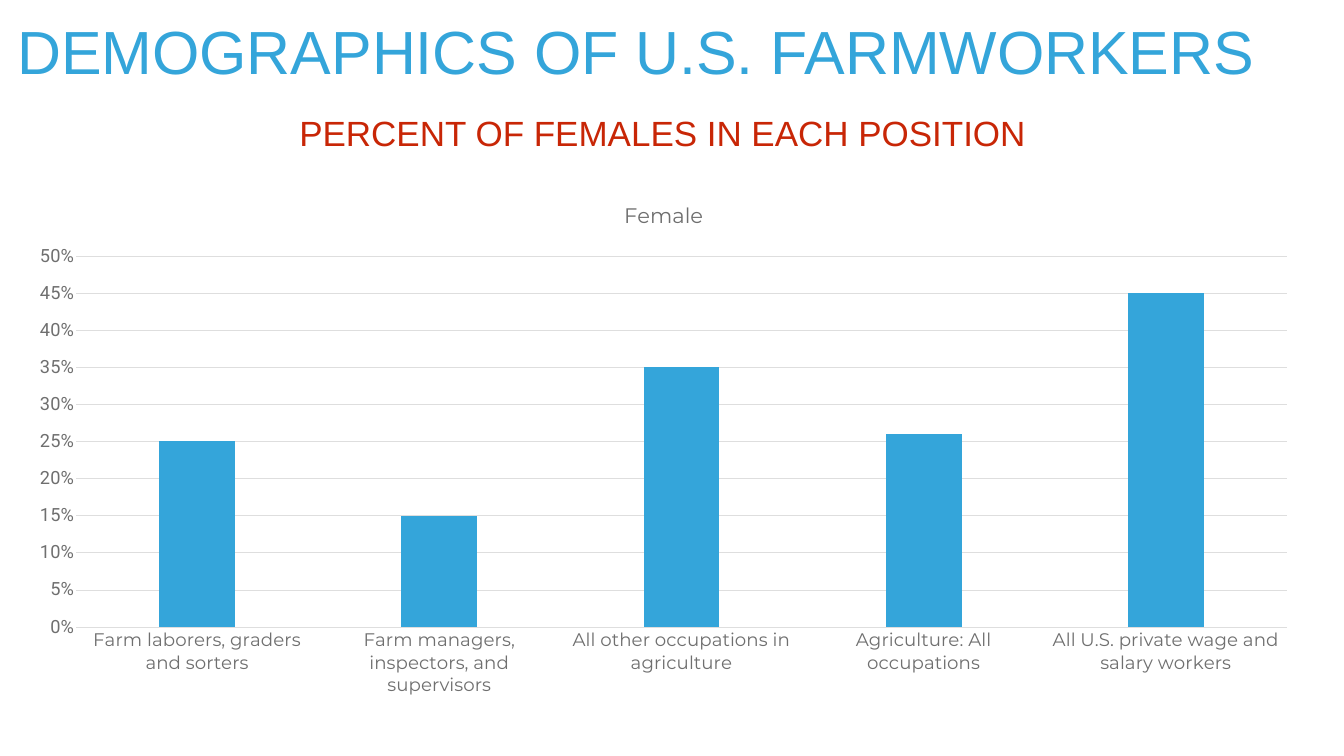
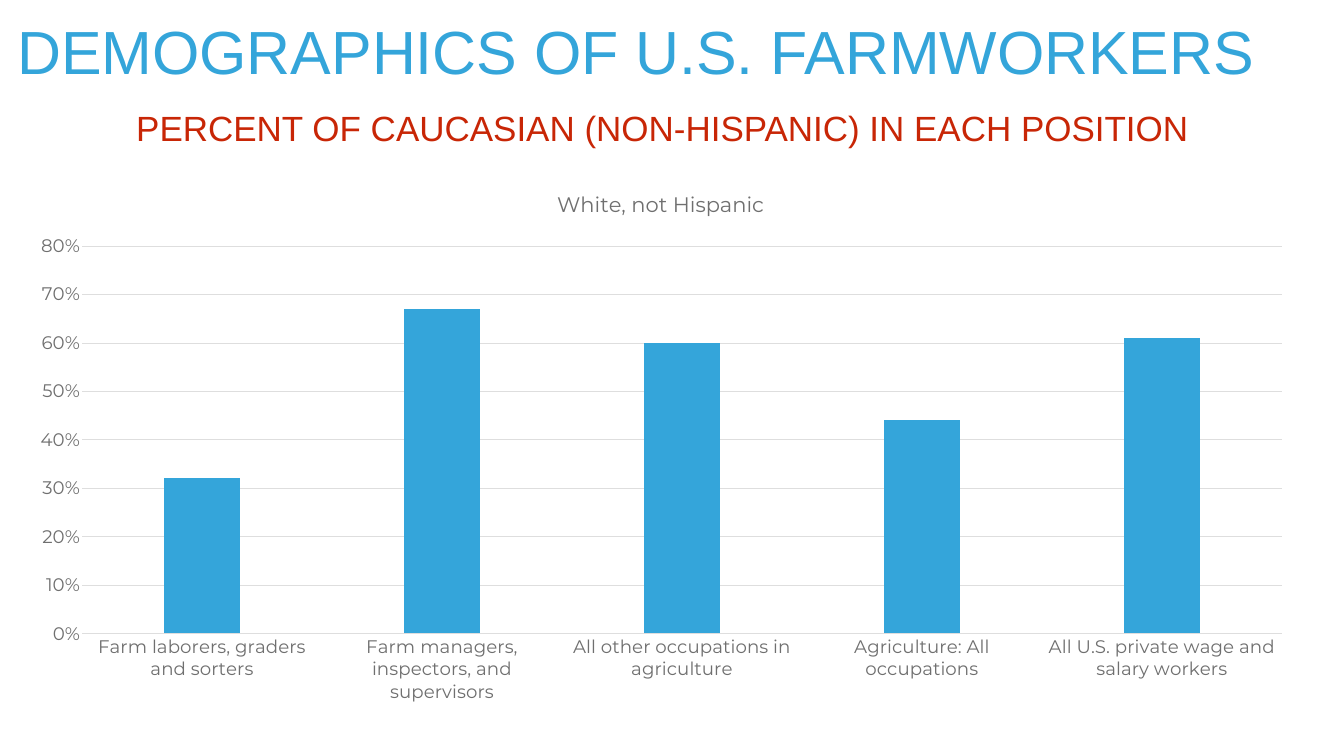
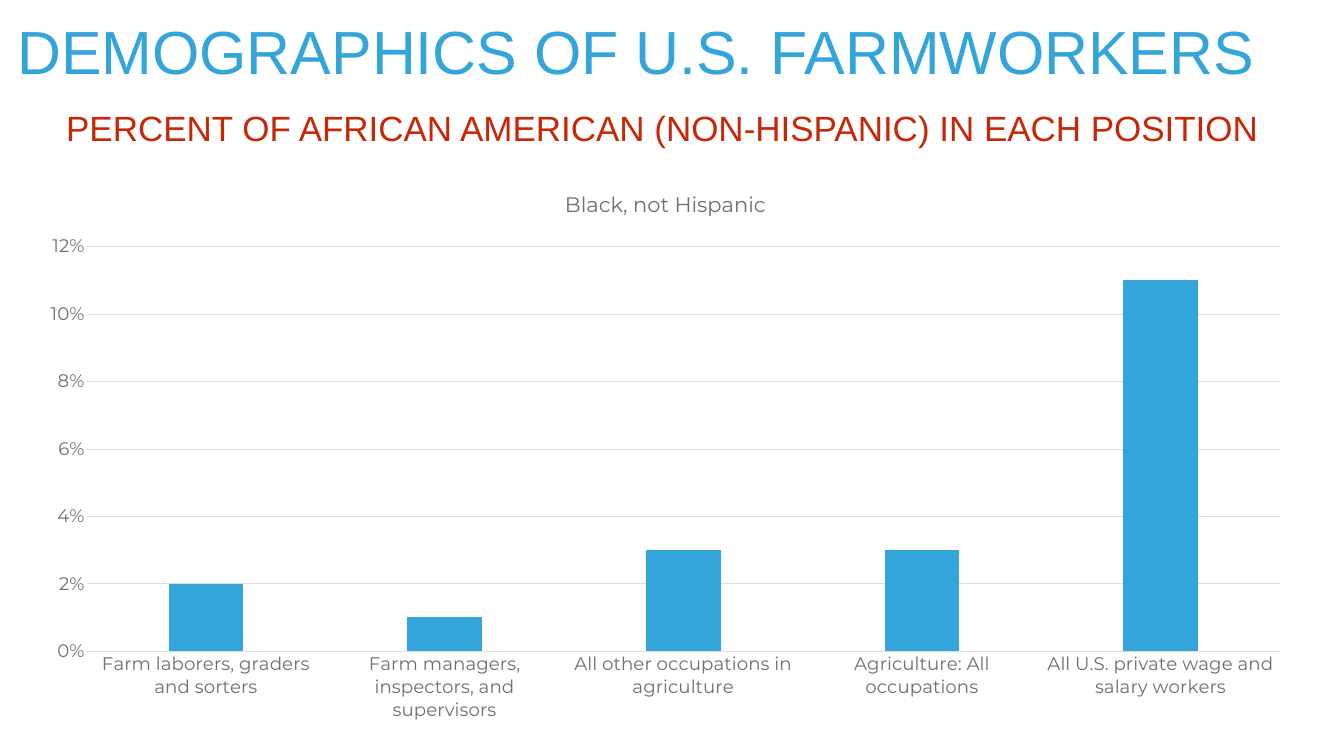
import pptx
import pptx.chart.data
import pptx.dml.color
import pptx.enum.chart
import pptx.enum.text
import pptx.util
from lxml import etree

Inches = pptx.util.Inches
Pt = pptx.util.Pt

SLIDE_WIDTH, SLIDE_HEIGHT = 26.67, 15
COLORS = {"blue": "34A5DA", "red": "C82606", "gray": "6F6F6F", "line": "DEDEDE"}
TEXT_FONT, CHART_FONT = "Arial", "Montserrat"

TITLE = "DEMOGRAPHICS OF U.S. FARMWORKERS"
POSITIONS = [
    "Farm laborers, graders and sorters",
    "Farm managers, inspectors, and supervisors",
    "All other occupations in agriculture",
    "Agriculture: All occupations",
    "All U.S. private wage and salary workers",
]

# Boxes are left, top, width, height in inches; "plot" is measured on the slide.
SLIDES = [
    {
        "subtitle": "PERCENT OF FEMALES IN EACH POSITION", "subtitle_top": 2.32,
        "group": "Female", "shares": [0.25, 0.15, 0.35, 0.26, 0.45],
        "maximum": 0.5, "step": 0.05, "value_font": "Roboto",
        "chart": (0.28, 3.64, 25.78, 10.39), "plot": (1.51, 5.08, 24.03, 7.36),
    },
    {
        "subtitle": "PERCENT OF CAUCASIAN (NON-HISPANIC) IN EACH POSITION", "subtitle_top": 2.21,
        "group": "White, not Hispanic", "shares": [0.32, 0.67, 0.6, 0.44, 0.61],
        "maximum": 0.8, "step": 0.1, "value_font": CHART_FONT,
        "chart": (0.28, 3.41, 25.66, 10.76), "plot": (1.63, 4.88, 23.81, 7.69),
    },
    {
        "subtitle": "PERCENT OF AFRICAN AMERICAN (NON-HISPANIC) IN EACH POSITION", "subtitle_top": 2.21,
        "group": "Black, not Hispanic", "shares": [0.02, 0.01, 0.03, 0.03, 0.11],
        "maximum": 0.12, "step": 0.02, "value_font": CHART_FONT,
        "chart": (0.49, 3.41, 25.43, 11.1), "plot": (1.72, 4.89, 23.68, 8.03),
    },
]


def color(name):
    return pptx.dml.color.RGBColor.from_string(COLORS[name])


def style_font(font, name, size, color_name):
    font.name = name
    font.size = Pt(size)
    font.bold = False
    font.color.rgb = color(color_name)


def style_line(line):
    line.color.rgb = color("line")
    line.width = Pt(0.75)


def add_heading(slide, text, box, size, color_name, alignment, anchor, auto_size):
    frame = slide.shapes.add_textbox(*map(Inches, box)).text_frame
    frame.word_wrap = True
    frame.auto_size = auto_size
    frame.vertical_anchor = anchor
    frame.margin_left = frame.margin_right = Inches(0.06)
    frame.margin_top = frame.margin_bottom = Inches(0.06)
    frame.text = text
    paragraph = frame.paragraphs[0]
    paragraph.alignment = alignment
    paragraph.line_spacing = 0.8
    style_font(paragraph.runs[0].font, TEXT_FONT, size, color_name)


def place_plot(chart, chart_box, plot_box):
    """Fix the inner plot area, given in slide inches, as shares of the chart."""
    left, top, width, height = chart_box
    x, y, plot_width, plot_height = plot_box
    settings = {
        "layoutTarget": "inner", "xMode": "edge", "yMode": "edge",
        "x": (x - left) / width, "y": (y - top) / height,
        "w": plot_width / width, "h": plot_height / height,
    }
    plot_area = chart.plots[0]._element.getparent()
    namespace = "{%s}" % etree.QName(plot_area).namespace
    for layout in plot_area.findall(namespace + "layout"):
        plot_area.remove(layout)
    layout = etree.Element(namespace + "layout")
    manual = etree.SubElement(layout, namespace + "manualLayout")
    for name, value in settings.items():
        etree.SubElement(manual, namespace + name).set("val", str(value))
    plot_area.insert(0, layout)


def add_share_chart(slide, content):
    data = pptx.chart.data.CategoryChartData(number_format="0%")
    data.categories = POSITIONS
    data.add_series(content["group"], content["shares"])
    chart = slide.shapes.add_chart(
        pptx.enum.chart.XL_CHART_TYPE.COLUMN_CLUSTERED,
        *map(Inches, content["chart"]), data).chart
    chart.has_legend = False
    chart.font.name = TEXT_FONT
    chart.font.size = Pt(10)

    chart.has_title = True
    chart.chart_title.include_in_layout = False
    chart_title = chart.chart_title.text_frame
    chart_title.text = content["group"]
    style_font(chart_title.paragraphs[0].runs[0].font, CHART_FONT, 30, "gray")

    plot = chart.plots[0]
    plot.vary_by_categories = False
    plot.gap_width = 219
    plot.overlap = -27
    bars = plot.series[0]
    bars.format.fill.solid()
    bars.format.fill.fore_color.rgb = color("blue")

    fonts = [(chart.category_axis, CHART_FONT), (chart.value_axis, content["value_font"])]
    for axis, font_name in fonts:
        axis.major_tick_mark = axis.minor_tick_mark = pptx.enum.chart.XL_TICK_MARK.NONE
        style_font(axis.tick_labels.font, font_name, 26, "gray")
    style_line(chart.category_axis.format.line)
    value_axis = chart.value_axis
    value_axis.minimum_scale = 0
    value_axis.maximum_scale = content["maximum"]
    value_axis.major_unit = content["step"]
    value_axis.tick_labels.number_format = "0%"
    value_axis.tick_labels.number_format_is_linked = False
    value_axis.format.line.fill.background()
    style_line(value_axis.major_gridlines.format.line)
    place_plot(chart, content["chart"], content["plot"])


def add_slide(presentation, content):
    align, anchor, auto_size = (
        pptx.enum.text.PP_ALIGN, pptx.enum.text.MSO_ANCHOR, pptx.enum.text.MSO_AUTO_SIZE)
    slide = presentation.slides.add_slide(presentation.slide_layouts[6])
    add_heading(slide, content["subtitle"], (0, content["subtitle_top"], 26.31, 0.79),
                50, "red", align.CENTER, anchor.MIDDLE, auto_size.SHAPE_TO_FIT_TEXT)
    add_heading(slide, TITLE, (0.28, 0.49, 26.03, 1.31),
                87, "blue", align.LEFT, anchor.TOP, auto_size.NONE)
    add_share_chart(slide, content)


def main():
    presentation = pptx.Presentation()
    presentation.slide_width = Inches(SLIDE_WIDTH)
    presentation.slide_height = Inches(SLIDE_HEIGHT)
    for content in SLIDES:
        add_slide(presentation, content)
    presentation.save("out.pptx")


if __name__ == "__main__":
    main()
